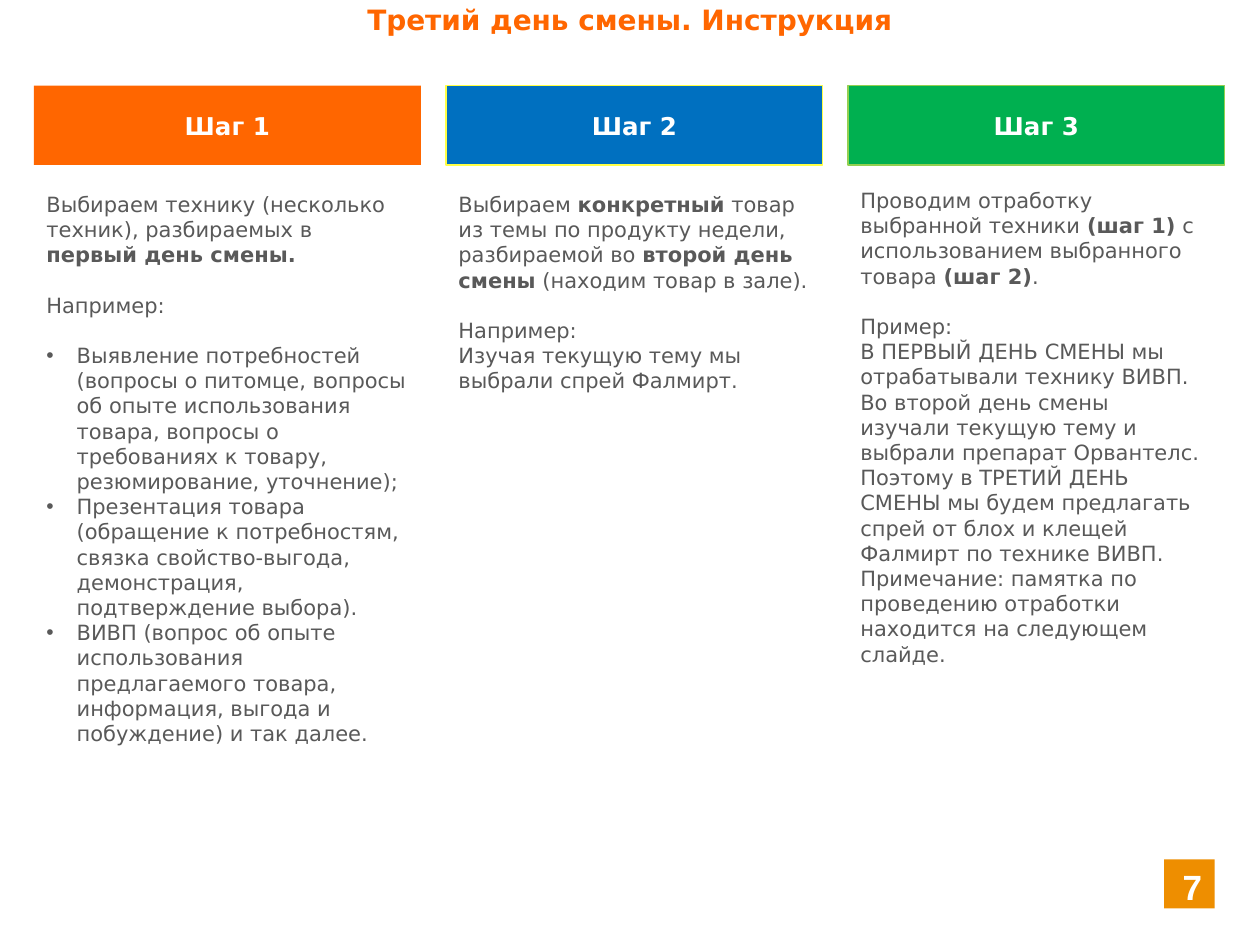
from dataclasses import dataclass
from typing import Optional

from lxml.etree import SubElement
from pptx import Presentation
from pptx.dml.color import RGBColor
from pptx.enum.shapes import MSO_SHAPE
from pptx.enum.text import MSO_ANCHOR, PP_ALIGN
from pptx.oxml.ns import qn
from pptx.util import Inches, Pt

BODY_FONT = "DejaVu Sans"
WHITE = "FFFFFF"
ORANGE = "FF6600"
GREY = "595959"
HANG = Inches(0.24)
HEADER_TOP, HEADER_HEIGHT = 0.68, 0.63


@dataclass
class Item:
    """A paragraph of a step; asterisks enclose its bold parts."""
    text: str
    bullet: bool = False
    gap: float = 0


@dataclass
class Step:
    """A column with a coloured header and its instructions."""
    title: str
    left: float
    width: float
    fill: str
    border: Optional[str]
    body_top: float
    body_width: float
    body_height: float
    items: list[Item]


STEPS = [
    Step("Шаг 1", 0.27, 3.07, ORANGE, None, 1.47, 3.07, 4.96, [
        Item("Выбираем технику (несколько техник), разбираемых в *первый день смены.*"),
        Item("Например:", gap=14.4),
        Item("Выявление потребностей (вопросы о питомце, вопросы об опыте использования "
             "товара, вопросы о требованиях к товару, резюмирование, уточнение);",
             bullet=True, gap=14.4),
        Item("Презентация товара (обращение к потребностям, связка свойство-выгода, "
             "демонстрация, подтверждение выбора).", bullet=True),
        Item("ВИВП (вопрос об опыте использования предлагаемого товара, информация, "
             "выгода и побуждение) и так далее.", bullet=True),
    ]),
    Step("Шаг 2", 3.54, 2.99, "0070C0", "FFFF47", 1.47, 2.99, 2.99, [
        Item("Выбираем *конкретный* товар из темы по продукту недели, разбираемой во "
             "*второй день смены* (находим товар в зале)."),
        Item("Например:", gap=14.4),
        Item("Изучая текущую тему мы выбрали спрей Фалмирт."),
    ]),
    Step("Шаг 3", 6.73, 2.99, "00B050", "92D050", 1.44, 2.91, 4.96, [
        Item("Проводим отработку выбранной техники *(шаг 1)* с использованием "
             "выбранного товара *(шаг 2)*."),
        Item("Пример:", gap=14.4),
        Item("В ПЕРВЫЙ ДЕНЬ СМЕНЫ мы отрабатывали технику ВИВП. Во второй день смены "
             "изучали текущую тему и выбрали препарат Орвантелс. Поэтому в ТРЕТИЙ ДЕНЬ "
             "СМЕНЫ мы будем предлагать спрей от блох и клещей Фалмирт по технике ВИВП."),
        Item("Примечание: памятка по проведению отработки находится на следующем слайде."),
    ]),
]


def rgb(value: str) -> RGBColor:
    """Turn a hex string into a colour."""
    return RGBColor.from_string(value)


def style(paragraph, size: float, color: str, bold: bool = False,
          font: str = BODY_FONT, align=PP_ALIGN.LEFT) -> None:
    """Set the alignment and font of a paragraph."""
    paragraph.alignment = align
    paragraph.font.name = font
    paragraph.font.size = Pt(size)
    paragraph.font.bold = bold
    paragraph.font.color.rgb = rgb(color)


def add_frame(slide, left: float, top: float, width: float, height: float):
    """Add a wrapping text box and return its text frame."""
    frame = slide.shapes.add_textbox(
        Inches(left), Inches(top), Inches(width), Inches(height)).text_frame
    frame.word_wrap = True
    return frame


def add_block(slide, left: float, top: float, width: float, height: float,
              fill: str, border: Optional[str] = None):
    """Add a filled rectangle and return its text frame."""
    block = slide.shapes.add_shape(
        MSO_SHAPE.RECTANGLE, Inches(left), Inches(top), Inches(width), Inches(height))
    block.shadow.inherit = False
    block.fill.solid()
    block.fill.fore_color.rgb = rgb(fill)
    if border:
        block.line.color.rgb = rgb(border)
        block.line.width = Pt(0.75)
    else:
        block.line.fill.background()
    block.text_frame.word_wrap = True
    return block.text_frame


def add_bullet(paragraph) -> None:
    """Give a paragraph a hanging bullet."""
    properties = paragraph._p.get_or_add_pPr()
    properties.set("marL", str(HANG))
    properties.set("indent", str(-HANG))
    SubElement(properties, qn("a:buFont"), typeface="Arial")
    SubElement(properties, qn("a:buChar"), char="•")


def add_items(frame, items: list[Item]) -> None:
    """Write the instructions of a step."""
    for index, item in enumerate(items):
        paragraph = frame.add_paragraph() if index else frame.paragraphs[0]
        if item.gap:
            paragraph.space_before = Pt(item.gap)
        if item.bullet:
            add_bullet(paragraph)
        style(paragraph, 12, GREY)
        for part, text in enumerate(item.text.split("*")):
            if text:
                run = paragraph.add_run()
                run.text = text
                if part % 2:
                    run.font.bold = True


def add_step(slide, step: Step) -> None:
    """Draw the header and the instructions of a step."""
    header = add_block(slide, step.left, HEADER_TOP, step.width, HEADER_HEIGHT,
                       step.fill, step.border)
    header.vertical_anchor = MSO_ANCHOR.MIDDLE
    header.text = step.title
    style(header.paragraphs[0], 14, WHITE, bold=True, align=PP_ALIGN.CENTER)
    add_items(add_frame(slide, step.left, step.body_top, step.body_width,
                        step.body_height), step.items)


def main() -> None:
    """Build the slide and save it."""
    presentation = Presentation()
    presentation.slide_width = Inches(10)
    presentation.slide_height = Inches(7.5)
    slide = presentation.slides.add_slide(presentation.slide_layouts[6])

    title = add_frame(slide, 0, -0.03, 10, 0.37)
    title.text = "Третий день смены. Инструкция"
    style(title.paragraphs[0], 16, ORANGE, bold=True, align=PP_ALIGN.CENTER)

    for step in STEPS:
        add_step(slide, step)

    page_number = add_block(slide, 9.24, 6.82, 0.4, 0.39, "EE8E00")
    page_number.vertical_anchor = MSO_ANCHOR.TOP
    page_number.text = "7"
    style(page_number.paragraphs[0], 20, WHITE, bold=True, font="Arial",
          align=PP_ALIGN.RIGHT)

    presentation.save("out.pptx")


if __name__ == "__main__":
    main()
